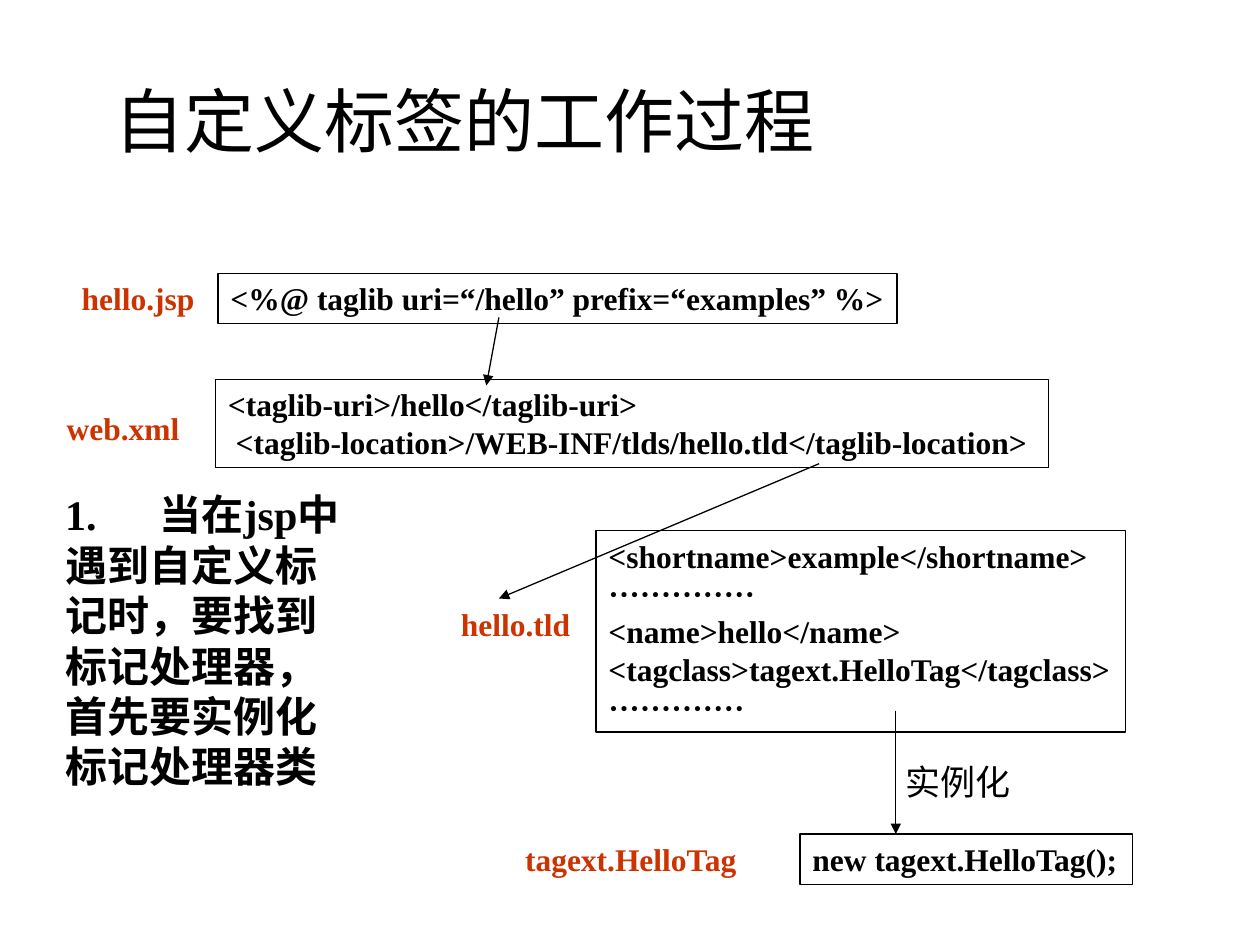
from lxml import etree
from pptx import Presentation
from pptx.dml.color import RGBColor
from pptx.enum.shapes import MSO_CONNECTOR, MSO_SHAPE
from pptx.enum.text import MSO_ANCHOR, MSO_AUTO_SIZE, PP_ALIGN
from pptx.oxml.ns import qn
from pptx.util import Pt

BLACK = RGBColor(0x00, 0x00, 0x00)
RED = RGBColor(0xCC, 0x33, 0x00)
LATIN_FONT = "Times New Roman"
CJK_FONT = "Noto Sans CJK SC"
RECTANGLE = MSO_SHAPE.RECTANGLE
STRAIGHT = MSO_CONNECTOR.STRAIGHT
TOP, MIDDLE = MSO_ANCHOR.TOP, MSO_ANCHOR.MIDDLE
FIT_SHAPE, FIXED = MSO_AUTO_SIZE.SHAPE_TO_FIT_TEXT, MSO_AUTO_SIZE.NONE
LEFT = PP_ALIGN.LEFT
LINE_WIDTH = Pt(0.75)
ROW_HEIGHT = 28.8

FILES = [
    ("hello.jsp", (39.6, 156.2, 79), (124.6, 156.2, 388, ROW_HEIGHT),
     ["<%@ taglib uri=“/hello” prefix=“examples” %>"]),
    ("web.xml", (31, 230.4, 79), (123.1, 216.7, 475.9, 50.4),
     ["<taglib-uri>/hello</taglib-uri>",
      " <taglib-location>/WEB-INF/tlds/hello.tld</taglib-location>"]),
    ("hello.tld", (256.3, 342, 77), (340.6, 303.1, 302.4, 115.2),
     ["<shortname>example</shortname>", "··············",
      "<name>hello</name>", "<tagclass>tagext.HelloTag</tagclass>",
      "·············"]),
    ("tagext.HelloTag", (293, 476.6, 136.8), (457.2, 476.6, 190.1, ROW_HEIGHT),
     ["new tagext.HelloTag();"]),
]
ARROWS = [
    (285.1, 181.4, 277.9, 220.3),
    (468, 265, 285.1, 342),
    (511.9, 406.1, 511.9, 476.6),
]


def write(frame, lines, size=18, color=BLACK, bold=True, font=LATIN_FONT,
          wrap=False, anchor=TOP, tab=None):
    """Fill a text frame with left-aligned lines in one style."""
    frame.word_wrap = wrap
    frame.auto_size = FIXED if wrap else FIT_SHAPE
    frame.vertical_anchor = anchor
    frame.text = "\n".join(lines)
    for paragraph in frame.paragraphs:
        paragraph.alignment = LEFT
        properties = paragraph._p.get_or_add_pPr()
        properties.set("hangingPunct", "0")
        if tab:
            stops = etree.SubElement(properties, qn("a:tabLst"))
            etree.SubElement(stops, qn("a:tab"), pos=str(Pt(tab)), algn="l")
        paragraph.font.size = Pt(size)
        paragraph.font.bold = bold
        paragraph.font.color.rgb = color
        paragraph.font.name = font
        defaults = properties.find(qn("a:defRPr"))
        etree.SubElement(defaults, qn("a:ea"), typeface=CJK_FONT)


def add_text(slide, bounds, text, **style):
    """Add a plain text box."""
    box = slide.shapes.add_textbox(*map(Pt, bounds))
    write(box.text_frame, [text], **style)


def add_code_box(slide, bounds, lines):
    """Add an outlined rectangle holding lines of code."""
    box = slide.shapes.add_shape(RECTANGLE, *map(Pt, bounds))
    box.shadow.inherit = False
    box.fill.background()
    box.line.color.rgb = BLACK
    box.line.width = LINE_WIDTH
    write(box.text_frame, lines)


def add_arrow(slide, ends):
    """Add a straight arrow between two points."""
    arrow = slide.shapes.add_connector(STRAIGHT, *map(Pt, ends))
    arrow.line.color.rgb = BLACK
    arrow.line.width = LINE_WIDTH
    etree.SubElement(arrow.line._get_or_add_ln(), qn("a:tailEnd"), type="triangle")
    etree.SubElement(arrow._element.spPr, qn("a:effectLst"))


def main():
    """Build the slide on how custom tags work."""
    deck = Presentation()
    deck.slide_width, deck.slide_height = Pt(720), Pt(540)
    slide = deck.slides.add_slide(deck.slide_layouts[6])

    add_text(slide, (49.7, 46.1, 559.4, 44.6), " 自定义标签的工作过程",
             size=40, bold=False, font=CJK_FONT, wrap=True, anchor=MIDDLE)
    for name, label_place, code_bounds, code in FILES:
        add_code_box(slide, code_bounds, code)
        add_text(slide, (*label_place, ROW_HEIGHT), name, color=RED)
    for ends in ARROWS:
        add_arrow(slide, ends)
    add_text(slide, (510.5, 431.3, 74.5, 31.7), "实例化", size=20, bold=False)
    add_text(slide, (30.2, 275.8, 174.2, 180),
             "1.\t当在jsp中遇到自定义标记时，要找到标记处理器，首先要实例化标记处理器类",
             size=24, wrap=True, tab=54)

    deck.save("out.pptx")


if __name__ == "__main__":
    main()
